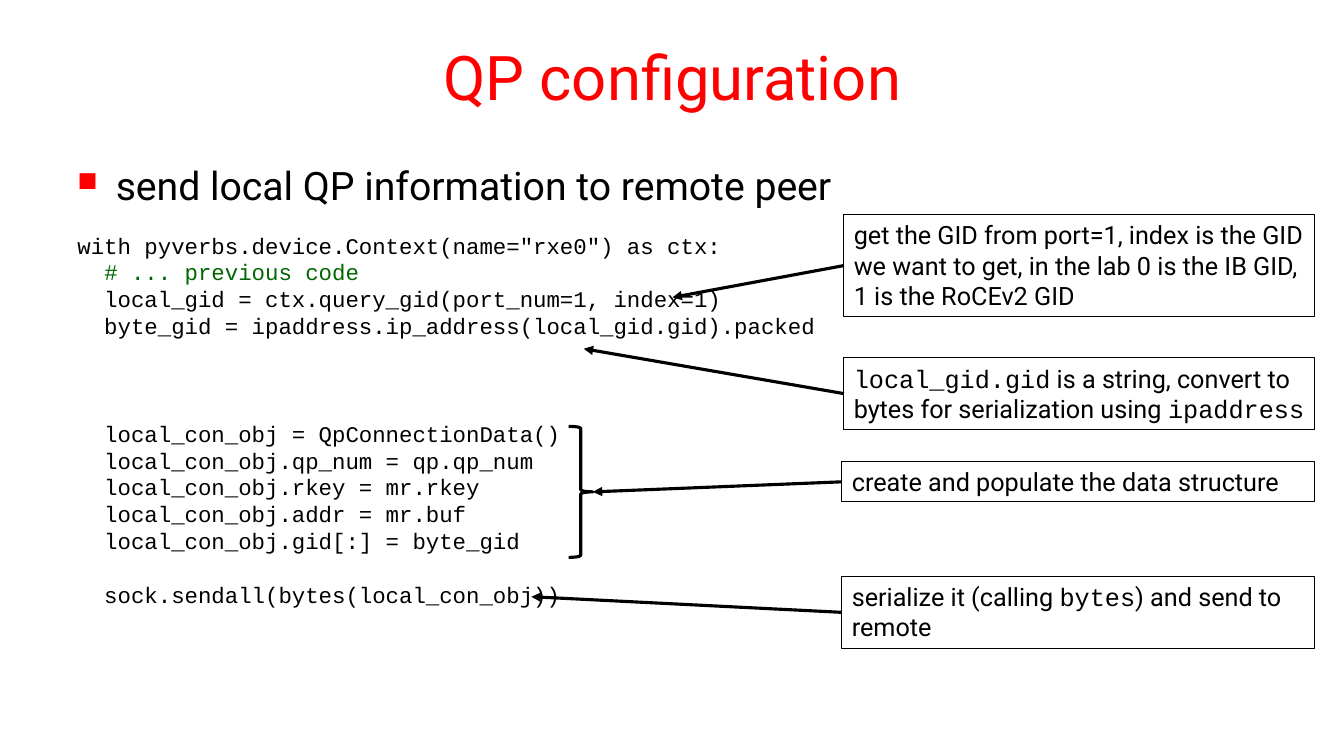
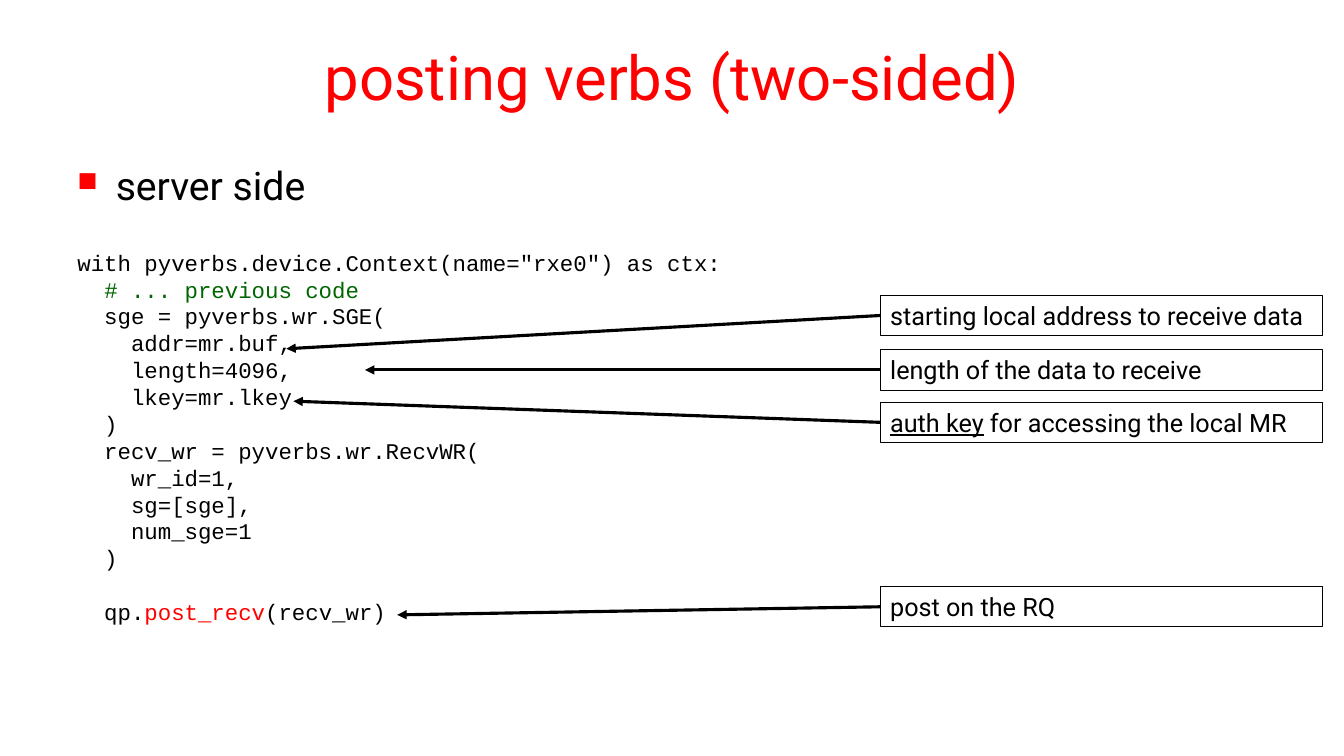
from lxml import etree
from pptx import Presentation
from pptx import util as u
from pptx.dml.color import RGBColor
from pptx.enum import shapes, text
from pptx.oxml.ns import qn

RED, BLACK, WHITE, GREEN = "FF0000", "000000", "FFFFFF", "006600"
SANS, MONO = "Roboto", "Courier New"
LEFT, WIDTH = 0.67, 12
CODE_SIZE, CODE_PITCH = 16, 19.2


def color(value):
    return RGBColor.from_string(value)


def add_span(para, words, size, font=SANS, ink=BLACK, underline=None):
    span = para.add_run()
    span.text = words
    span.font.size = u.Pt(size)
    span.font.name = font
    span.font.color.rgb = color(ink)
    span.font.underline = underline


def add_box(page, top, height):
    box = page.shapes.add_textbox(*map(u.Inches, (LEFT, top, WIDTH, height)))
    box.text_frame.word_wrap = True
    return box.text_frame


def add_title(page, words):
    frame = add_box(page, 0.13, 1.25)
    frame.vertical_anchor = text.MSO_ANCHOR.MIDDLE
    para = frame.paragraphs[0]
    para.alignment = text.PP_ALIGN.CENTER
    add_span(para, words, 44, ink=RED)


def add_bullet(page, words):
    para = add_box(page, 1.55, 0.75).paragraphs[0]
    props = para._p.get_or_add_pPr()
    props.set("marL", str(u.Inches(0.38)))
    props.set("indent", str(-u.Inches(0.38)))
    marker = etree.SubElement(props, qn("a:buClr"))
    etree.SubElement(marker, qn("a:srgbClr"), val=RED)
    etree.SubElement(props, qn("a:buSzPct"), val="70000")
    etree.SubElement(props, qn("a:buChar"), char="■")
    add_span(para, words, 28)


def add_code(page, top, lines):
    """Each line is a list of (words, colour); an empty list leaves a gap."""
    frame = add_box(page, top, 3.87)
    para, gap = frame.paragraphs[0], 0
    for number, line in enumerate(lines):
        if not line:
            gap += 1
            continue
        if number:
            para = frame.add_paragraph()
        para.line_spacing = u.Pt(CODE_PITCH)
        if gap:
            para.space_before = u.Pt(gap * CODE_PITCH)
        for words, ink in line:
            add_span(para, words, CODE_SIZE, MONO, ink)
        gap = 0


def plain(source):
    """Turn black code into lines for add_code."""
    return [[(line, BLACK)] if line else [] for line in source.split("\n")]


def style_line(line, width):
    line.color.rgb = color(BLACK)
    line.width = u.Pt(width)


def add_callout(page, left, top, right, rows, tip, spans):
    """Boxed note with an arrow from its left side to the tip."""
    height = round(0.1 + 0.304 * rows, 2)
    box = page.shapes.add_shape(shapes.MSO_SHAPE.RECTANGLE,
                                *map(u.Inches, (left, top, right - left, height)))
    box.shadow.inherit = False
    box.fill.solid()
    box.fill.fore_color.rgb = color(WHITE)
    style_line(box.line, 0.75)
    frame = box.text_frame
    frame.word_wrap = True
    frame.vertical_anchor = text.MSO_ANCHOR.TOP
    para = frame.paragraphs[0]
    para.alignment = text.PP_ALIGN.LEFT
    for words, font, underline in spans:
        add_span(para, words, 18, font, underline=underline)

    ends = map(u.Inches, (left, top + height / 2, *tip))
    arrow = page.shapes.add_connector(shapes.MSO_CONNECTOR.STRAIGHT, *ends)
    arrow.begin_connect(box, 1)
    style_line(arrow.line, 2.25)
    etree.SubElement(arrow.line._get_or_add_ln(), qn("a:tailEnd"), type="triangle")
    etree.SubElement(arrow._element.spPr, qn("a:effectLst"))


def add_brace(page, left, top, width, height):
    brace = page.shapes.add_shape(shapes.MSO_SHAPE.RIGHT_BRACE,
                                  *map(u.Inches, (left, top, width, height)))
    brace.shadow.inherit = False
    brace.fill.background()
    style_line(brace.line, 2.25)


def sans(words, underline=None):
    return words, SANS, underline


def mono(words):
    return words, MONO, None


# Opening lines of both listings
CODE_HEAD = [
    [('with pyverbs.device.Context(name="rxe0") as ctx:', BLACK)],
    [("  ", BLACK), ("# ... previous code", GREEN)],
]

CONFIG_CODE = CODE_HEAD + plain("""\
  local_gid = ctx.query_gid(port_num=1, index=1)
  byte_gid = ipaddress.ip_address(local_gid.gid).packed



  local_con_obj = QpConnectionData()
  local_con_obj.qp_num = qp.qp_num
  local_con_obj.rkey = mr.rkey
  local_con_obj.addr = mr.buf
  local_con_obj.gid[:] = byte_gid

  sock.sendall(bytes(local_con_obj))""")

POSTING_CODE = CODE_HEAD + plain("""\
  sge = pyverbs.wr.SGE(
    addr=mr.buf,
    length=4096,
    lkey=mr.lkey
  )
  recv_wr = pyverbs.wr.RecvWR(
    wr_id=1,
    sg=[sge],
    num_sge=1
  )
""") + [[("  qp.", BLACK), ("post_recv", RED), ("(recv_wr)", BLACK)]]

# Callouts: left, top, text rows, arrow tip, spans
CONFIG_NOTES = [
    (8.37, 2.13, 3, (6.67, 2.95),
     [sans("get the GID from port=1, index is the GID we want to get, "
           "in the lab 0 is the IB GID, 1 is the RoCEv2 GID")]),
    (8.37, 3.55, 2, (5.79, 3.46),
     [mono("local_gid.gid"),
      sans(" is a string, convert to bytes for serialization using "),
      mono("ipaddress")]),
    (8.35, 4.58, 1, (5.88, 4.88),
     [sans("create and populate the data structure")]),
    (8.35, 5.72, 2, (5.27, 5.92),
     [sans("serialize it (calling "), mono("bytes"),
      sans(") and send to remote")]),
]

POSTING_NOTES = [
    (8.73, 2.93, 1, (2.84, 3.46),
     [sans("starting local address to receive data")]),
    (8.73, 3.47, 1, (3.62, 3.67),
     [sans("length of the data to receive")]),
    (8.73, 3.99, 1, (2.91, 3.98),
     [sans("auth key", True), sans(" for accessing the local MR")]),
    (8.73, 5.82, 1, (3.94, 6.1),
     [sans("post on the RQ")]),
]


def add_page(deck, title, bullet, code_top, code, notes, notes_right):
    page = deck.slides.add_slide(deck.slide_layouts[6])
    add_title(page, title)
    add_bullet(page, bullet)
    add_code(page, code_top, code)
    for left, top, rows, tip, spans in notes:
        add_callout(page, left, top, notes_right, rows, tip, spans)
    return page


def main():
    deck = Presentation()
    deck.slide_width, deck.slide_height = u.Inches(13.33), u.Inches(7.5)

    page = add_page(deck, "QP configuration",
                    "send local QP information to remote peer",
                    2.25, CONFIG_CODE, CONFIG_NOTES, 13.04)
    add_brace(page, 5.64, 4.23, 0.24, 1.3)

    add_page(deck, "posting verbs (two-sided)", "server side",
             2.42, POSTING_CODE, POSTING_NOTES, 13.12)

    deck.save("out.pptx")


if __name__ == "__main__":
    main()
